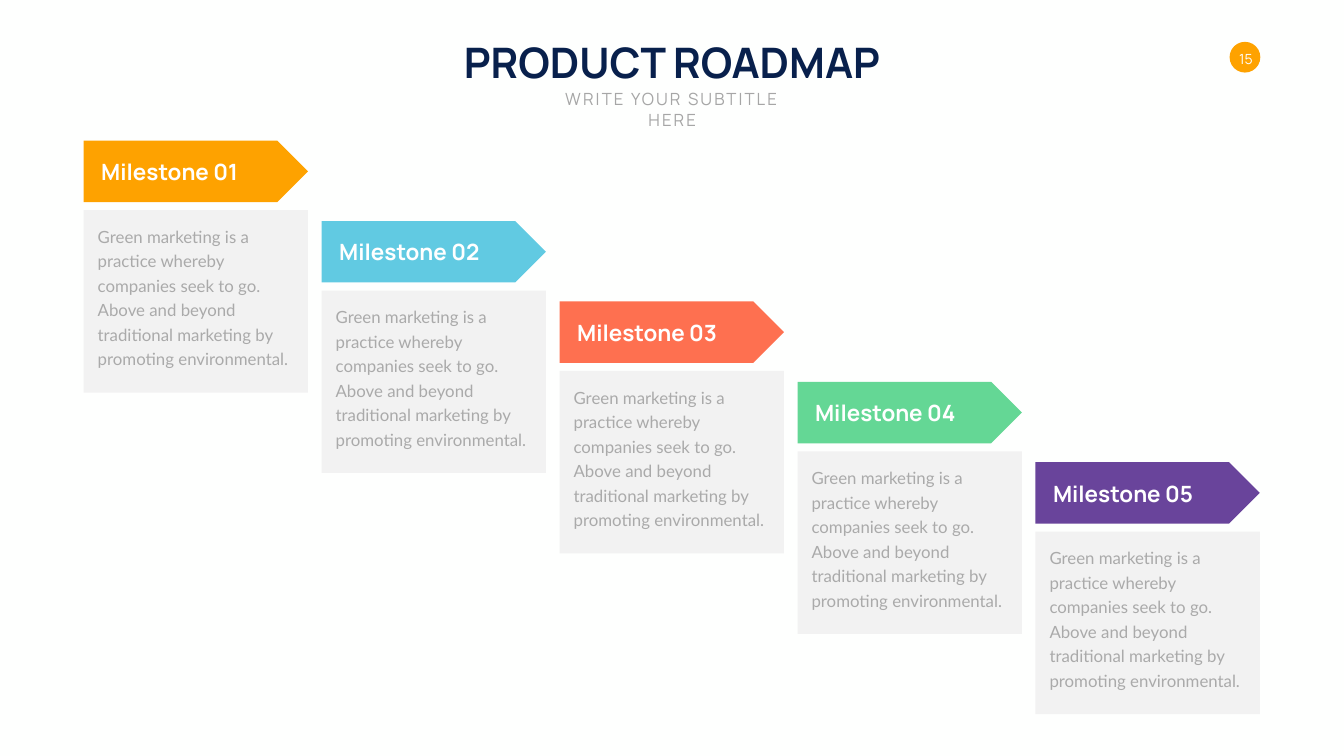
import pptx
import pptx.util
import pptx.dml.color
import pptx.enum.shapes
import pptx.enum.text

Inches = pptx.util.Inches
Pt = pptx.util.Pt
Kind = pptx.enum.shapes.MSO_SHAPE
Align = pptx.enum.text.PP_ALIGN
Anchor = pptx.enum.text.MSO_ANCHOR

HUES = {
    "back": "FEFFFE", "white": "FFFFFF", "navy": "08204C",
    "panel": "F2F2F2", "body": "AAAAAA", "sub": "A6A6A6",
    "amber": "FEA200", "sky": "61CAE2", "coral": "FE7050",
    "green": "64D795", "violet": "69449B",
}
STEPS = ["amber", "sky", "coral", "green", "violet"]
BODY = ("Green marketing is a practice whereby companies seek to go. "
        "Above and beyond traditional marketing by promoting environmental.")


class Deck:
    """Holds the style and the current slide, and draws its elements."""

    def __init__(self, wide, high):
        self.file = pptx.Presentation()
        self.file.slide_width = Inches(wide)
        self.file.slide_height = Inches(high)
        self.slide = self.file.slides.add_slide(self.file.slide_layouts[6])
        self.paint(self.slide.background.fill, "back")

    def paint(self, fill, hue):
        fill.solid()
        fill.fore_color.rgb = pptx.dml.color.RGBColor.from_string(HUES[hue])

    def shape(self, kind, x, y, w, h, hue):
        shape = self.slide.shapes.add_shape(
            kind, Inches(x), Inches(y), Inches(w), Inches(h))
        shape.shadow.inherit = False
        self.paint(shape.fill, hue)
        shape.line.fill.background()

    def text(self, words, x, y, w, h, size, hue, font="Manrope", bold=False,
             align=Align.LEFT, anchor=Anchor.TOP, wrap=True, inset=True,
             track=0, lead=None, after=None):
        box = self.slide.shapes.add_textbox(
            Inches(x), Inches(y), Inches(w), Inches(h))
        frame = box.text_frame
        frame.word_wrap = wrap
        frame.auto_size = pptx.enum.text.MSO_AUTO_SIZE.SHAPE_TO_FIT_TEXT
        frame.vertical_anchor = anchor
        if not inset:
            frame.margin_left = frame.margin_right = 0
            frame.margin_top = frame.margin_bottom = 0
        para = frame.paragraphs[0]
        para.alignment = align
        if lead:
            para.line_spacing = Pt(lead)
        if after:
            para.space_after = Pt(after)
        run = para.add_run()
        run.text = words
        run.font.name = font
        run.font.size = Pt(size)
        run.font.bold = bold
        self.paint(run.font.fill, hue)
        if track:
            run.font._element.set("spc", str(track * 100))


def main():
    deck = Deck(26.66, 15)
    deck.shape(Kind.OVAL, 24.39, 0.83, 0.61, 0.61, "amber")
    deck.text("15", 24.51, 0.99, 0.41, 0.34, 20, "white", align=Align.CENTER,
              anchor=Anchor.MIDDLE, wrap=False, inset=False)
    deck.text("PRODUCT ROADMAP", 8.92, 0.67, 8.82, 1.11, 60, "navy",
              bold=True, align=Align.CENTER, wrap=False)
    deck.text("WRITE YOUR SUBTITLE HERE", 10.62, 1.72, 5.43, 0.5, 24, "sub",
              align=Align.CENTER, track=3)
    for i, hue in enumerate(STEPS):
        x = 1.66 + 4.72 * i
        y = 2.79 + 1.595 * i
        deck.shape(Kind.PENTAGON, x, y, 4.45, 1.22, hue)
        deck.shape(Kind.RECTANGLE, x, y + 1.38, 4.45, 3.62, "panel")
        deck.text(f"Milestone {i + 1:02}", x + 0.25, y + 0.29, 3.56, 0.64, 32,
                  "white", bold=True, anchor=Anchor.BOTTOM)
        deck.text(BODY, x + 0.18, y + 1.57, 4.1, 3, 24, "body", font="Lato",
                  lead=35, after=18)
    deck.file.save("out.pptx")


if __name__ == "__main__":
    main()
